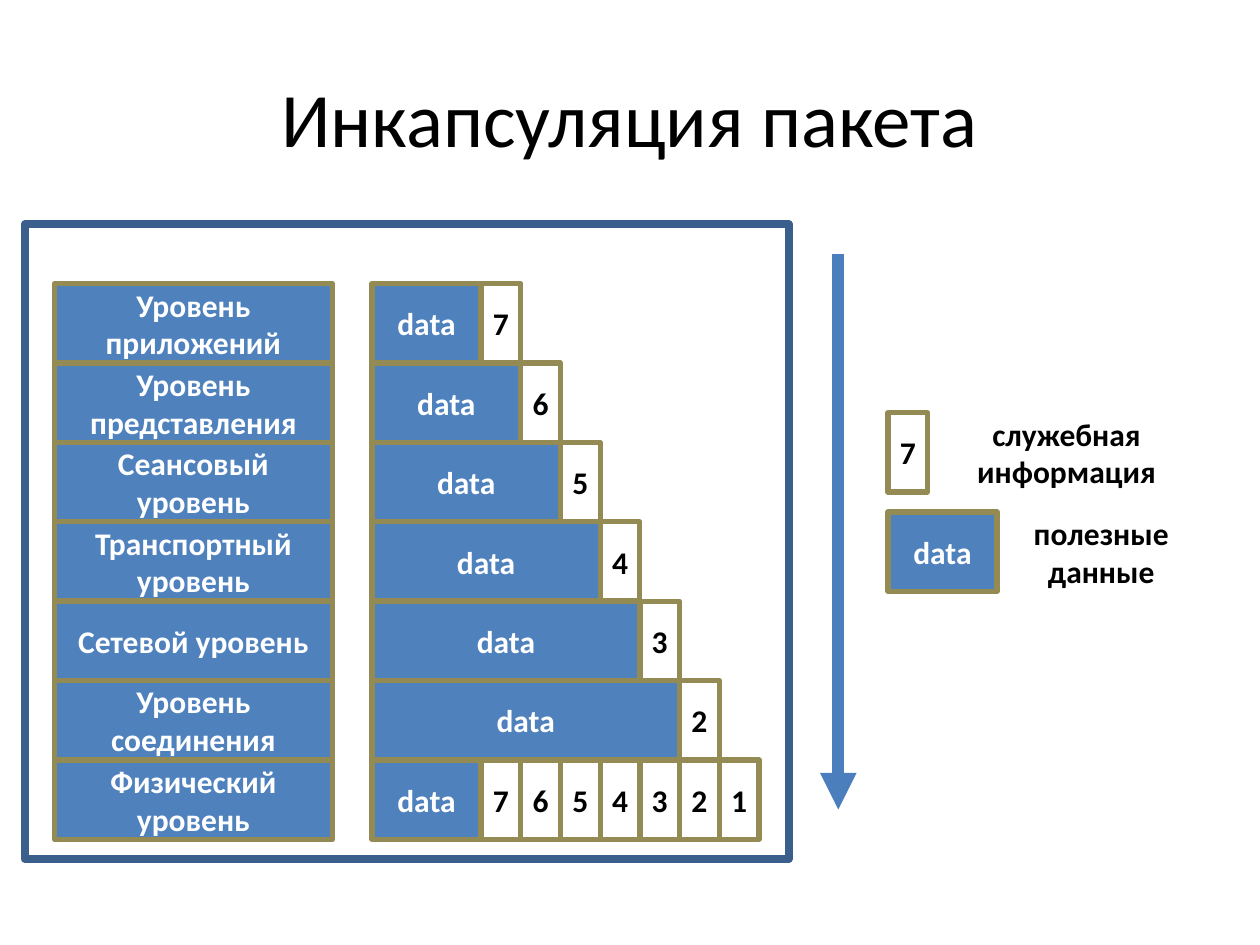
from lxml import etree
from pptx import Presentation
from pptx.dml.color import RGBColor as Rgb
from pptx.enum.shapes import MSO_CONNECTOR as Conn, MSO_SHAPE as Kind
from pptx.enum.text import MSO_ANCHOR as Anchor, PP_ALIGN as Align
from pptx.oxml.ns import qn
from pptx.util import Cm, Pt

HUES = {
    "blue": "4F81BD",
    "olive": "948A54",
    "arrow": "4B7EBC",
    "frame": "3A5F8C",
    "white": "FFFFFF",
    "black": "000000",
}
LEVELS = [
    "Уровень приложений",
    "Уровень представления",
    "Сеансовый уровень",
    "Транспортный уровень",
    "Сетевой уровень",
    "Уровень соединения",
    "Физический уровень",
]
TOP, HIGH = 5.72, 1.6
LEFT, DATA, CELL = 7.5, 2.2, 0.8
KEY = 17.9

deck = Presentation()
deck.slide_width, deck.slide_height = Cm(25.4), Cm(19.05)
slide = deck.slides.add_slide(deck.slide_layouts[5])
shapes = slide.shapes


def write(shape, text, hue):
    frame = shape.text_frame
    frame.word_wrap = True
    frame.vertical_anchor = Anchor.MIDDLE
    frame.text = text
    para = frame.paragraphs[0]
    para.alignment = Align.CENTER
    para.font.name, para.font.size, para.font.bold = "Calibri", Pt(18), True
    para.font.color.rgb = Rgb.from_string(HUES[hue])


def block(x, y, wide, text, fill=True):
    """Draw one olive-edged box: blue for data and levels, clear for headers."""
    box = shapes.add_shape(Kind.RECTANGLE, Cm(x), Cm(y), Cm(wide), Cm(HIGH))
    box.shadow.inherit = False
    box.line.color.rgb = Rgb.from_string(HUES["olive"])
    box.line.width = Pt(3)
    if fill:
        box.fill.solid()
        box.fill.fore_color.rgb = Rgb.from_string(HUES["blue"])
    else:
        box.fill.background()
        box.text_frame.margin_left = box.text_frame.margin_right = 0
    write(box, text, "white" if fill else "black")


title = shapes.title
title.left, title.top, title.width, title.height = Cm(1.27), Cm(0.76), Cm(22.86), Cm(3.18)
title.text_frame.text = "Инкапсуляция пакета"
title.text_frame.vertical_anchor = Anchor.MIDDLE
head = title.text_frame.paragraphs[0]
head.alignment = Align.CENTER
head.font.name, head.font.size = "Calibri", Pt(44)
head.font.color.rgb = Rgb.from_string(HUES["black"])

# Each level adds one header; the last row shows all of them
last = len(LEVELS) - 1
for row, level in enumerate(LEVELS):
    y = TOP + row * HIGH
    block(1.1, y, 5.6, level)
    first = 0 if row == last else row
    block(LEFT, y, DATA + first * CELL, "data")
    for col in range(first, row + 1):
        block(LEFT + DATA + col * CELL, y, CELL, str(7 - col), fill=False)

arrow = shapes.add_connector(Conn.STRAIGHT, Cm(16.9), Cm(5.12), Cm(16.9), Cm(16.32))
arrow.line.color.rgb = Rgb.from_string(HUES["arrow"])
arrow.line.width = Pt(7)
etree.SubElement(arrow.line._get_or_add_ln(), qn("a:tailEnd"), type="triangle")
etree.SubElement(arrow._element.spPr, qn("a:effectLst"))

# Legend
block(KEY, 8.32, CELL, "7", fill=False)
block(KEY, 10.32, DATA, "data")
for x, y, wide, text in [
    (19.1, 8.32, 4.8, "служебная информация"),
    (20.1, 10.32, 4.2, "полезные данные"),
]:
    note = shapes.add_textbox(Cm(x), Cm(y), Cm(wide), Cm(HIGH))
    write(note, text, "black")

border = shapes.add_shape(Kind.RECTANGLE, Cm(0.5), Cm(4.52), Cm(15.4), Cm(12.8))
border.shadow.inherit = False
border.fill.background()
border.line.color.rgb = Rgb.from_string(HUES["frame"])
border.line.width = Pt(4.5)

deck.save("out.pptx")
